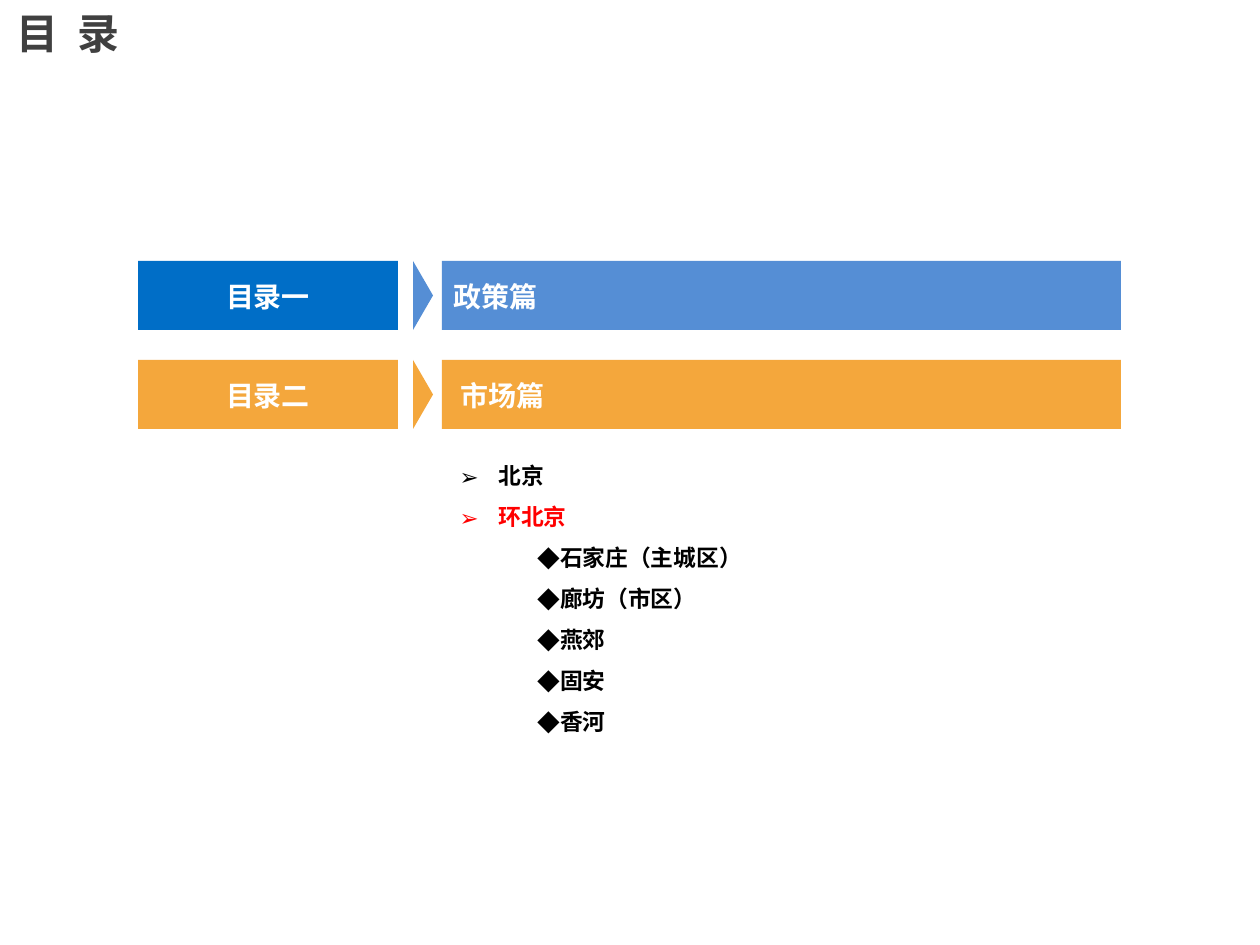
from lxml.etree import SubElement
from pptx import Presentation
from pptx.dml.color import RGBColor
from pptx.enum.shapes import MSO_SHAPE as Shape
from pptx.enum.text import MSO_ANCHOR as Anchor, MSO_AUTO_SIZE as AutoSize, PP_ALIGN as Align
from pptx.oxml.ns import qn
from pptx.util import Pt

PX = 914400 / 126
FONT = "Noto Sans CJK SC"
DEEP_BLUE = RGBColor(0x00, 0x6E, 0xC7)
BLUE = RGBColor(0x55, 0x8E, 0xD5)
ORANGE = RGBColor(0xF4, 0xA7, 0x3C)
GREY = RGBColor(0x40, 0x40, 0x40)
WHITE = RGBColor(0xFF, 0xFF, 0xFF)
BLACK = RGBColor(0, 0, 0)
RED = RGBColor(0xFF, 0, 0)

# Content
TITLE = "目  录"
# label, label colour, chapter, chapter colour, chapter inset in px
CHAPTERS = [
    ("目录一", DEEP_BLUE, "政策篇", BLUE, 12),
    ("目录二", ORANGE, "市场篇", ORANGE, 19),
]
# text, level, colour
TOPICS = [
    ("北京", 0, BLACK),
    ("环北京", 0, RED),
    ("石家庄（主城区）", 1, BLACK),
    ("廊坊（市区）", 1, BLACK),
    ("燕郊", 1, BLACK),
    ("固安", 1, BLACK),
    ("香河", 1, BLACK),
]
BULLETS = "➢◆"

# Layout in px
ROW_TOP, ROW_STEP, ROW_HEIGHT = 261, 99, 69
LABEL_LEFT, LABEL_WIDTH = 138, 260
ARROW_LEFT, ARROW_WIDTH = 413, 20
BAR_LEFT, BAR_WIDTH = 442, 679
INDENT = 39


def px(length):
    return round(length * PX)


def place(shape, left, top, width, height):
    shape.left, shape.top, shape.width, shape.height = map(px, (left, top, width, height))


def format_runs(paragraph, size, color):
    for run in paragraph.runs:
        font = run.font
        font.name, font.size, font.bold = FONT, Pt(size), True
        font.color.rgb = color
        SubElement(font._element, qn("a:ea")).set("typeface", FONT)


def add_block(slide, kind, box, color):
    shape = slide.shapes.add_shape(kind, *map(px, box))
    shape.shadow.inherit = False
    shape.fill.solid()
    shape.fill.fore_color.rgb = color
    shape.line.fill.background()
    return shape


def add_bar(slide, box, color, text, align, inset=0):
    frame = add_block(slide, Shape.RECTANGLE, box, color).text_frame
    frame.margin_left = px(inset)
    frame.margin_top = frame.margin_right = frame.margin_bottom = 0
    frame.vertical_anchor = Anchor.MIDDLE
    frame.text = text
    paragraph = frame.paragraphs[0]
    paragraph.alignment = align
    paragraph.line_spacing = Pt(20)
    format_runs(paragraph, 16, WHITE)


def set_bullet(paragraph, level):
    properties = paragraph._p.get_or_add_pPr()
    properties.set("marL", str(px(INDENT)))
    properties.set("indent", str(px(INDENT if level else -INDENT)))
    SubElement(properties, qn("a:buFont")).set("typeface", FONT)
    SubElement(properties, qn("a:buChar")).set("char", BULLETS[level])


def main():
    presentation = Presentation()
    presentation.slide_width, presentation.slide_height = px(1260), px(945)
    slide = presentation.slides.add_slide(presentation.slide_layouts[1])

    # Title
    title = slide.shapes.title
    place(title, 4, 0, 752, 66)
    frame = title.text_frame
    frame.text = TITLE
    frame.auto_size = AutoSize.NONE
    frame.vertical_anchor = Anchor.MIDDLE
    frame.paragraphs[0].alignment = Align.LEFT
    format_runs(frame.paragraphs[0], 24, GREY)

    # Chapter rows: label, arrow, bar
    for row, (label, label_color, chapter, color, inset) in enumerate(CHAPTERS):
        top = ROW_TOP + row * ROW_STEP
        add_bar(slide, (LABEL_LEFT, top, LABEL_WIDTH, ROW_HEIGHT),
                label_color, label, Align.CENTER)
        # The triangle lies on its side, so its box is turned about its centre
        shift = (ROW_HEIGHT - ARROW_WIDTH) / 2
        arrow = add_block(slide, Shape.ISOSCELES_TRIANGLE,
                          (ARROW_LEFT - shift, top + shift, ROW_HEIGHT, ARROW_WIDTH), color)
        arrow.rotation = 90
        add_bar(slide, (BAR_LEFT, top, BAR_WIDTH, ROW_HEIGHT),
                color, chapter, Align.LEFT, inset)

    # Topics of the second chapter
    body = slide.placeholders[1]
    place(body, 447, 442, 646, 302)
    frame = body.text_frame
    frame.text = "\n".join(text for text, _, _ in TOPICS)
    frame.auto_size = AutoSize.NONE
    for paragraph, (_, level, color) in zip(frame.paragraphs, TOPICS):
        paragraph.line_spacing = 1.5
        paragraph.space_before = Pt(0)
        set_bullet(paragraph, level)
        format_runs(paragraph, 13, color)

    presentation.save("out.pptx")


if __name__ == "__main__":
    main()
